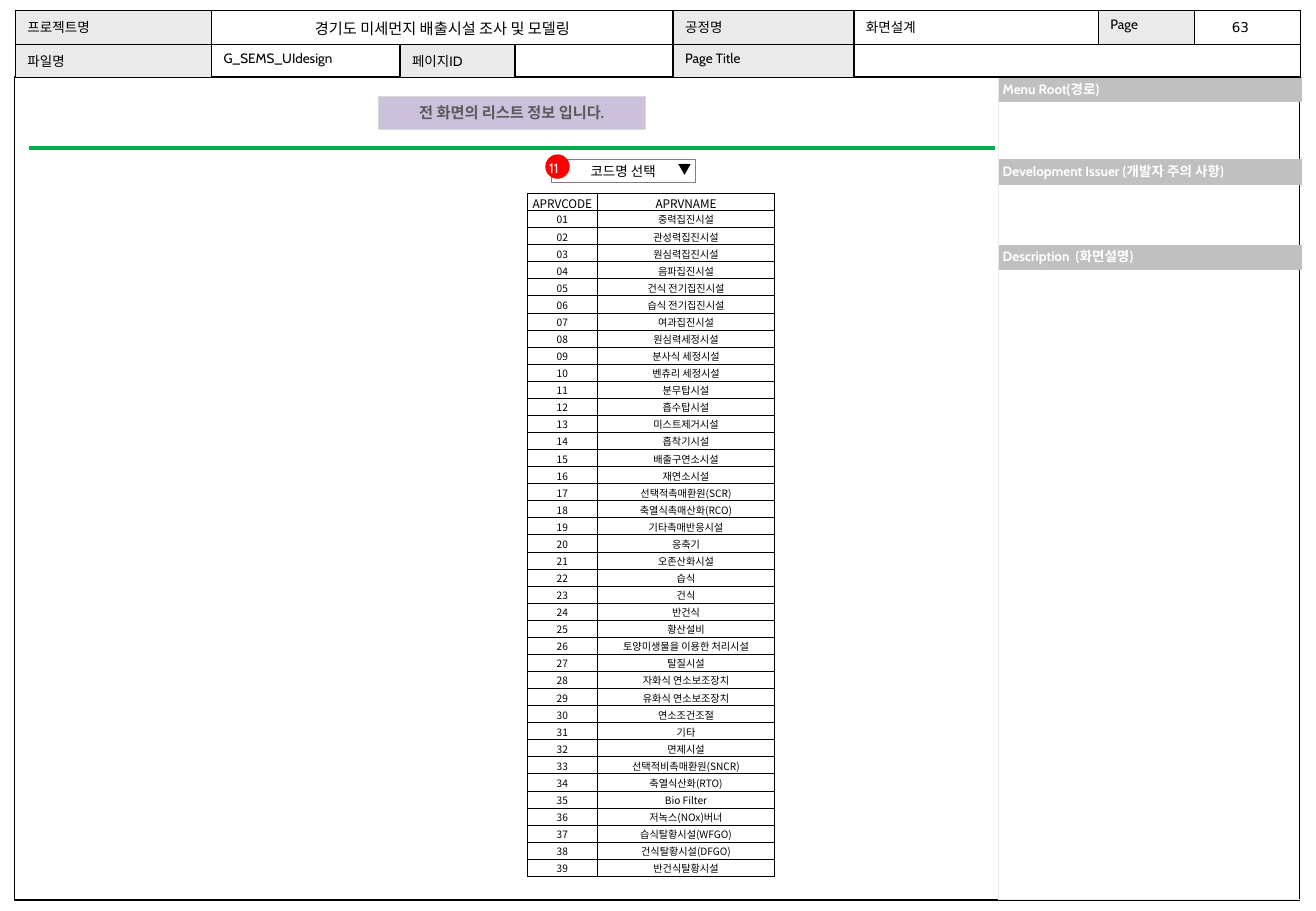
from lxml import etree
from pptx import Presentation
from pptx import util as u
from pptx.dml import color
from pptx.enum import shapes, text
from pptx.oxml import ns

COLORS = {
    "black": "000000", "white": "FFFFFF", "label": "EAEAEA", "heading": "C0C0C0",
    "side_line": "EEECE1", "rule": "00B050", "pill": "CCC1DA", "pill_line": "D9D9D9",
    "pill_text": "595959", "select_line": "808080", "badge": "FF0000",
}
NO_TABLE_STYLE = "{2D5ABB26-0587-4C30-8999-92F81FD0307C}"
LEFT, CENTER = text.PP_ALIGN.LEFT, text.PP_ALIGN.CENTER
TOP, MIDDLE = text.MSO_ANCHOR.TOP, text.MSO_ANCHOR.MIDDLE
ALL_SIDES = "LRTB"


def rgb(name):
    return color.RGBColor.from_string(COLORS[name])


def apply(target, values):
    for key, value in values.items():
        setattr(target, key, value)


def margins(*sizes):
    sides = ("margin_left", "margin_top", "margin_right", "margin_bottom")
    return {side: u.Cm(size) for side, size in zip(sides, sizes)}


TIGHT = margins(0.1, 0.1, 0.1, 0.1)
CODE_INSET = margins(0.03, 0.03, 0.03, 0)


class ScreenPage:
    east_asian = "Noto Sans CJK KR"

    def __init__(self, slide):
        self.slide = slide

    def box(self, place):
        return [u.Cm(value) for value in place]

    def add_words(self, frame, words, size=8, font="Cabin", ink="black", bold=False,
                  align=LEFT, spacing=None):
        paragraph = frame.paragraphs[0]
        apply(paragraph, {"alignment": align, "line_spacing": spacing})
        if not words:
            etree.SubElement(paragraph._p, ns.qn("a:endParaRPr"), sz=str(size * 100))
            return
        run = paragraph.add_run()
        run.text = words
        apply(run.font, {"size": u.Pt(size), "name": font, "bold": bold})
        run.font.color.rgb = rgb(ink)
        etree.SubElement(run._r.rPr, ns.qn("a:ea"), typeface=self.east_asian)

    def paint(self, shape, fill=None, line=None, width=0.25):
        if fill:
            shape.fill.solid()
            shape.fill.fore_color.rgb = rgb(fill)
        else:
            shape.fill.background()
        if line:
            shape.line.color.rgb = rgb(line)
            shape.line.width = u.Pt(width)
        else:
            shape.line.fill.background()

    def shape(self, kind, place, words="", fill=None, line=None, width=0.25, **style):
        shape = self.slide.shapes.add_shape(kind, *self.box(place))
        shape.shadow.inherit = False
        self.paint(shape, fill, line, width)
        if words:
            apply(shape.text_frame, {**TIGHT, "vertical_anchor": MIDDLE})
            self.add_words(shape.text_frame, words, **style)

    def title(self, place, words, **style):
        title = self.slide.shapes.title
        apply(title, dict(zip(("left", "top", "width", "height"), self.box(place))))
        outline = etree.SubElement(title._element.spPr, ns.qn("a:prstGeom"), prst="roundRect")
        guides = etree.SubElement(outline, ns.qn("a:avLst"))
        etree.SubElement(guides, ns.qn("a:gd"), name="adj", fmla="val 50000")
        self.paint(title, "pill", "pill_line")
        apply(title.text_frame, {**TIGHT, "vertical_anchor": MIDDLE,
                                 "auto_size": text.MSO_AUTO_SIZE.NONE})
        self.add_words(title.text_frame, words, **style)

    def text(self, place, words, wrap=False, inset=TIGHT, **style):
        frame = self.slide.shapes.add_textbox(*self.box(place)).text_frame
        apply(frame, {**inset, "word_wrap": wrap,
                      "auto_size": text.MSO_AUTO_SIZE.SHAPE_TO_FIT_TEXT})
        self.add_words(frame, words, **style)

    def rule(self, start, end, ink, width):
        rule = self.slide.shapes.add_connector(
            shapes.MSO_CONNECTOR.STRAIGHT, *self.box(start + end))
        rule.line.color.rgb = rgb(ink)
        rule.line.width = u.Pt(width)
        etree.SubElement(rule._element.spPr, ns.qn("a:effectLst"))

    def table(self, corner, columns, rows):
        place = self.box(corner + (sum(columns), sum(rows)))
        table = self.slide.shapes.add_table(len(rows), len(columns), *place).table
        table._tbl.tblPr.find(ns.qn("a:tableStyleId")).text = NO_TABLE_STYLE
        apply(table, {"first_row": False, "horz_banding": False})
        for column, width in zip(table.columns, columns):
            column.width = u.Cm(width)
        for row, height in zip(table.rows, rows):
            row.height = u.Cm(height)
        return table

    def cell(self, cell, words, border, width, sides=ALL_SIDES, fill=None, inset=None,
             anchor=TOP, **style):
        for side in sides:
            edge = etree.SubElement(cell._tc.get_or_add_tcPr(), ns.qn(f"a:ln{side}"),
                                    w=str(int(u.Pt(width))))
            solid = etree.SubElement(edge, ns.qn("a:solidFill"))
            etree.SubElement(solid, ns.qn("a:srgbClr"), val=COLORS[border])
        if fill:
            cell.fill.solid()
            cell.fill.fore_color.rgb = rgb(fill)
        else:
            cell.fill.background()
        apply(cell, {**(inset or {}), "vertical_anchor": anchor})
        self.add_words(cell.text_frame, words, **style)


PROJECT = "경기도 미세먼지 배출시설 조사 및 모델링"
HEADER = [
    ["프로젝트명", PROJECT, "", "", "공정명", "화면설계", "Page", ""],
    ["파일명", "G_SEMS_UIdesign", "페이지ID", "", "Page Title", "", "", ""],
]
LABELS = {"프로젝트명", "공정명", "Page", "파일명", "페이지ID", "Page Title"}
SIDE = [("Menu Root(경로)", 0.75), ("", None),
        ("Development Issuer (개발자 주의 사항)", 0.8), ("", None),
        ("Description  (화면설명)", 0.75), ("", None)]
FACILITIES = [
    "중력집진시설", "관성력집진시설", "원심력집진시설", "음파집진시설", "건식 전기집진시설",
    "습식 전기집진시설", "여과집진시설", "원심력세정시설", "분사식 세정시설", "벤츄리 세정시설",
    "분무탑시설", "흡수탑시설", "미스트제거시설", "흡착기시설", "배출구연소시설", "재연소시설",
    "선택적촉매환원(SCR)", "축열식촉매산화(RCO)", "기타촉매반응시설", "응축기", "오존산화시설",
    "습식", "건식", "반건식", "황산설비", "토양미생물을 이용한 처리시설", "탈질시설",
    "자화식 연소보조장치", "유화식 연소보조장치", "연소조건조절", "기타", "면제시설",
    "선택적비촉매환원(SNCR)", "축열식산화(RTO)", "Bio Filter", "저녹스(NOx)버너",
    "습식탈황시설(WFGO)", "건식탈황시설(DFGO)", "반건식탈황시설",
]


def main():
    deck = Presentation()
    apply(deck, {"slide_width": u.Cm(27.51), "slide_height": u.Cm(19.05)})
    page = ScreenPage(deck.slides.add_slide(deck.slide_layouts[5]))
    noto = page.east_asian

    page.title((7.9, 2.01, 5.59, 0.69), "전 화면의 리스트 정보 입니다.",
               size=9, ink="pill_text", bold=True, align=CENTER)
    page.shape(shapes.MSO_SHAPE.RECTANGLE, (0.3, 1.6, 26.87, 17.22),
               line="black", width=0.75)

    side = page.table((20.86, 1.62), [6.35], [0.5, 1.19, 0.54, 1.27, 0.5, 13.16])
    for row, (heading, spacing) in enumerate(SIDE):
        page.cell(side.cell(row, 0), heading, "side_line", 0.25,
                  sides="LB" if row == len(SIDE) - 1 else "L",
                  fill="heading" if heading else None, inset=TIGHT, anchor=MIDDLE,
                  ink="white", bold=True, spacing=spacing)

    header = page.table((0.32, 0.22), [4.1, 3.94, 2.41, 3.3, 3.78, 5.11, 2.01, 2.22],
                        [0.7, 0.69])
    header.cell(0, 1).merge(header.cell(0, 3))
    header.cell(1, 5).merge(header.cell(1, 7))
    for row, entries in enumerate(HEADER):
        for column, entry in enumerate(entries):
            project = entry == PROJECT
            page.cell(header.cell(row, column), entry, "black", 1,
                      fill="label" if entry in LABELS else None,
                      size=9 if project else 8, align=CENTER if project else LEFT)

    page.text((25.65, 0.13, 0.69, 0.64), "63", font="DejaVu Sans", spacing=1.5)
    page.rule((0.61, 3.1), (20.8, 3.1), "rule", 2.5)

    codes = [("APRVCODE", "APRVNAME")]
    codes += [(f"{number:02}", name) for number, name in enumerate(FACILITIES, 1)]
    listing = page.table((11.02, 4.04), [1.47, 3.7], [14.28 / len(codes)] * len(codes))
    for row, entries in enumerate(codes):
        for column, entry in enumerate(entries):
            page.cell(listing.cell(row, column), entry, "black", 0.25, inset=CODE_INSET,
                      anchor=MIDDLE, size=6 if row else 7, font=noto, align=CENTER)

    page.shape(shapes.MSO_SHAPE.RECTANGLE, (11.53, 3.34, 3, 0.48), "코드명 선택",
               fill="white", line="select_line", width=0.5, font=noto, align=CENTER)
    page.text((13.92, 3.25, 0.79, 0.61), "▼", inset={}, font=noto)
    page.shape(shapes.MSO_SHAPE.OVAL, (11.4, 3.23, 0.51, 0.51), fill="badge")
    page.text((11.38, 3.18, 0.79, 0.58), "11", wrap=True, ink="white", spacing=1.2)
    deck.save("out.pptx")


if __name__ == "__main__":
    main()
